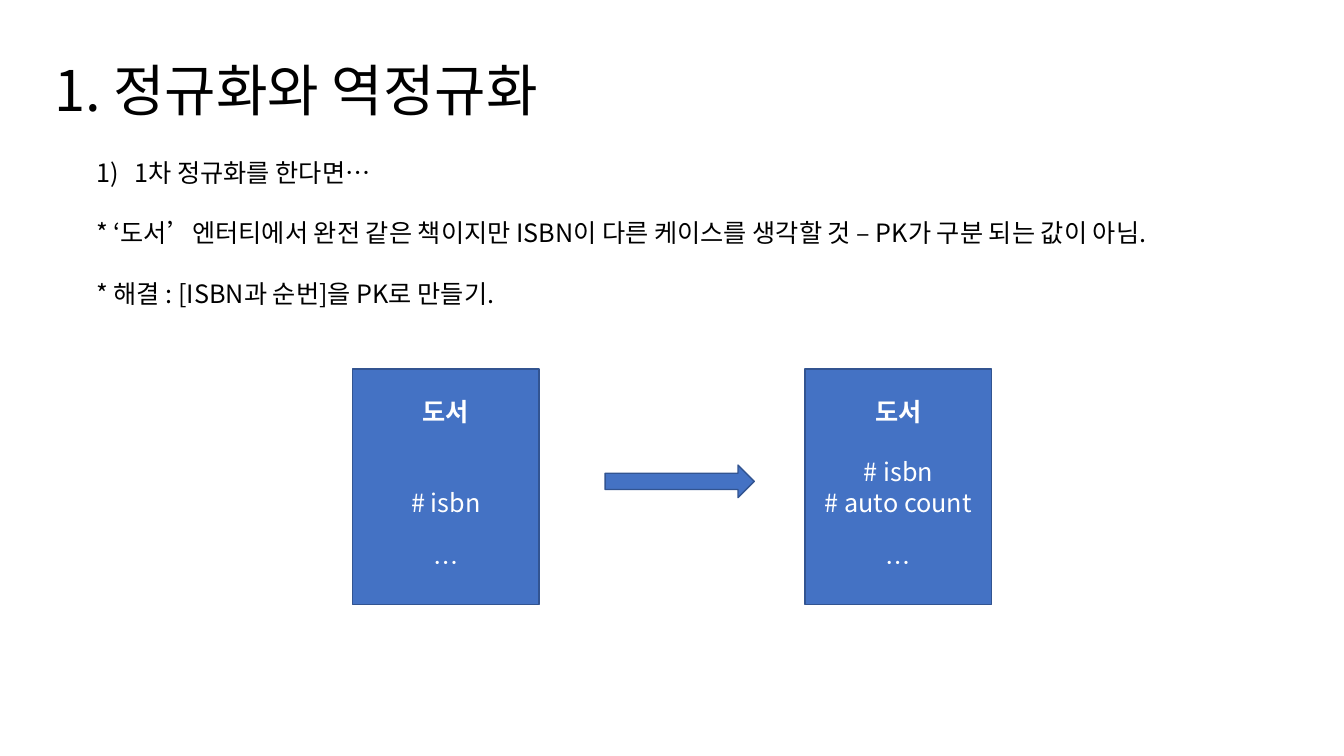
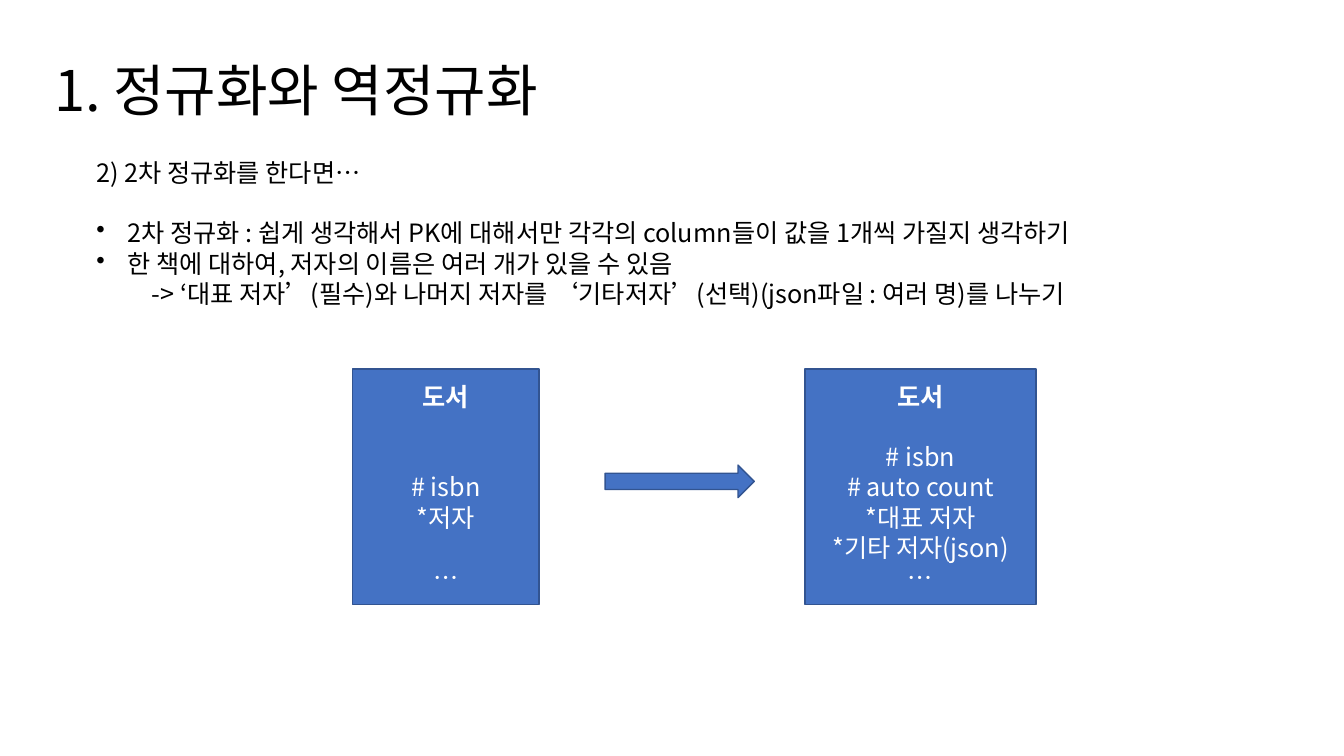
from pptx import Presentation, util as u
from pptx.dml.color import RGBColor
from pptx.enum import shapes, text
from pptx.oxml import ns
from lxml import etree

FONT = "Noto Sans CJK KR"
COLORS = {"text": "000000", "fill": "4472C4", "line": "325491", "inverse": "FFFFFF"}
TITLE_SIZE, TITLE_PITCH = 40, 52
BODY_SIZE, BODY_PITCH = 18, 21.6

# Boxes in centimetres: left, top, width, height
TITLE_BOX = (1.12, 1.14, 15.5, 1.96)
BODY_BOX = (2.18, 3.84, 31, 4.11)
DIAGRAM_BOX = (8.89, 9.3, 17.22, 5.94)
ENTITY_WIDTH = 4.7
AFTER_LEFT = 11.4
ARROW_LEFT, ARROW_WIDTH, ARROW_HEIGHT = 6.36, 3.76, 0.82

TITLE = "1. 정규화와 역정규화"

# Lines are (text, blank lines before, style)
SLIDES = [
    {
        "body": [
            ("1차 정규화를 한다면…", 0, "number"),
            ("* ‘도서’엔터티에서 완전 같은 책이지만 ISBN이 다른 케이스를 생각할 것 – PK가 구분 되는 값이 아님.", 1, "plain"),
            ("* 해결 : [ISBN과 순번]을 PK로 만들기.", 1, "plain"),
        ],
        "before": [("도서", 0, "bold"), ("# isbn", 2, "plain"), ("…", 1, "plain")],
        "after": [("도서", 0, "bold"), ("# isbn", 1, "plain"),
                  ("# auto count", 0, "plain"), ("…", 1, "plain")],
        "after_width": ENTITY_WIDTH,
    },
    {
        "body": [
            ("2) 2차 정규화를 한다면…", 0, "plain"),
            ("2차 정규화 : 쉽게 생각해서 PK에 대해서만 각각의 column들이 값을 1개씩 가질지 생각하기", 1, "bullet"),
            ("한 책에 대하여, 저자의 이름은 여러 개가 있을 수 있음", 0, "bullet"),
            ("-> ‘대표 저자’(필수)와 나머지 저자를 ‘기타저자’(선택)(json파일 : 여러 명)를 나누기", 0, "indent"),
        ],
        "before": [("도서", 0, "bold"), ("# isbn", 2, "plain"),
                   ("*저자", 0, "plain"), ("…", 1, "plain")],
        "after": [("도서", 0, "bold"), ("# isbn", 1, "plain"), ("# auto count", 0, "plain"),
                  ("*대표 저자", 0, "plain"), ("*기타 저자(json)", 0, "plain"), ("…", 0, "plain")],
        "after_width": 5.82,
    },
]

# Style: left margin and first-line indent in cm, marker tag, marker attributes
INDENTS = {
    "number": (0.96, -0.96, "a:buAutoNum", {"type": "arabicParenR"}),
    "bullet": (0.79, -0.79, "a:buChar", {"char": "•"}),
    "indent": (1.4, 0, None, {}),
}


def color(name):
    return RGBColor.from_string(COLORS[name])


def set_indent(para, style):
    margin, first, tag, attributes = INDENTS[style]
    props = para._p.get_or_add_pPr()
    props.set("marL", str(u.Cm(margin)))
    props.set("indent", str(u.Cm(first)))
    if tag:
        etree.SubElement(props, ns.qn(tag), attributes)


def write_lines(frame, lines, size, pitch, color_name, align=text.PP_ALIGN.LEFT):
    frame.word_wrap = True
    frame.text = "\n".join(line[0] for line in lines)
    for para, (_, gap, style) in zip(frame.paragraphs, lines):
        para.alignment = align
        para.line_spacing = u.Pt(pitch)
        para.space_before = u.Pt(gap * pitch)
        if style in INDENTS:
            set_indent(para, style)
        for span in para.runs:
            span.font.name = FONT
            span.font.size = u.Pt(size)
            span.font.bold = style == "bold"
            span.font.color.rgb = color(color_name)
            etree.SubElement(span._r.get_or_add_rPr(), ns.qn("a:ea"), typeface=FONT)


def add_text(page, box, lines, size, pitch):
    label = page.shapes.add_textbox(*map(u.Cm, box))
    write_lines(label.text_frame, lines, size, pitch, "text")


def add_block(page, kind, box):
    block = page.shapes.add_shape(kind, *map(u.Cm, box))
    block.shadow.inherit = False
    block.fill.solid()
    block.fill.fore_color.rgb = color("fill")
    block.line.color.rgb = color("line")
    block.line.width = u.Pt(1)
    return block


def add_entity(page, box, lines):
    frame = add_block(page, shapes.MSO_SHAPE.RECTANGLE, box).text_frame
    frame.vertical_anchor = text.MSO_ANCHOR.MIDDLE
    write_lines(frame, lines, BODY_SIZE, BODY_PITCH, "inverse", text.PP_ALIGN.CENTER)


def add_diagram(page, box, content):
    left, top, _, height = box
    # Entity before and after normalization
    add_entity(page, (left, top, ENTITY_WIDTH, height), content["before"])
    add_entity(page, (left + AFTER_LEFT, top, content["after_width"], height), content["after"])
    # Arrow between the entities
    arrow_top = top + (height - ARROW_HEIGHT) / 2 - 0.14
    add_block(page, shapes.MSO_SHAPE.RIGHT_ARROW,
              (left + ARROW_LEFT, arrow_top, ARROW_WIDTH, ARROW_HEIGHT))


def add_page(deck, content):
    page = deck.slides.add_slide(deck.slide_layouts[6])
    add_text(page, TITLE_BOX, [(TITLE, 0, "plain")], TITLE_SIZE, TITLE_PITCH)
    add_text(page, BODY_BOX, content["body"], BODY_SIZE, BODY_PITCH)
    add_diagram(page, DIAGRAM_BOX, content)


def main():
    deck = Presentation()
    deck.slide_width, deck.slide_height = u.Cm(33.87), u.Cm(19.05)
    for content in SLIDES:
        add_page(deck, content)
    deck.save("out.pptx")


if __name__ == "__main__":
    main()
